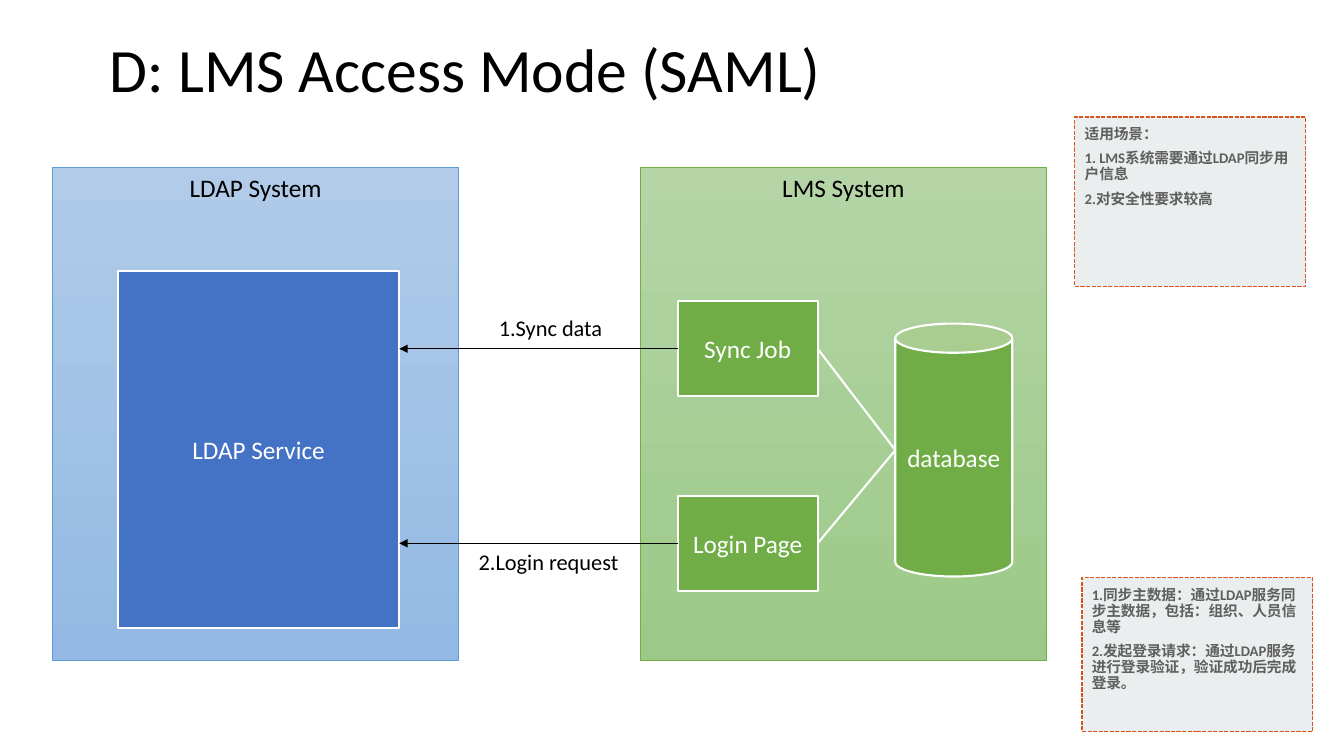
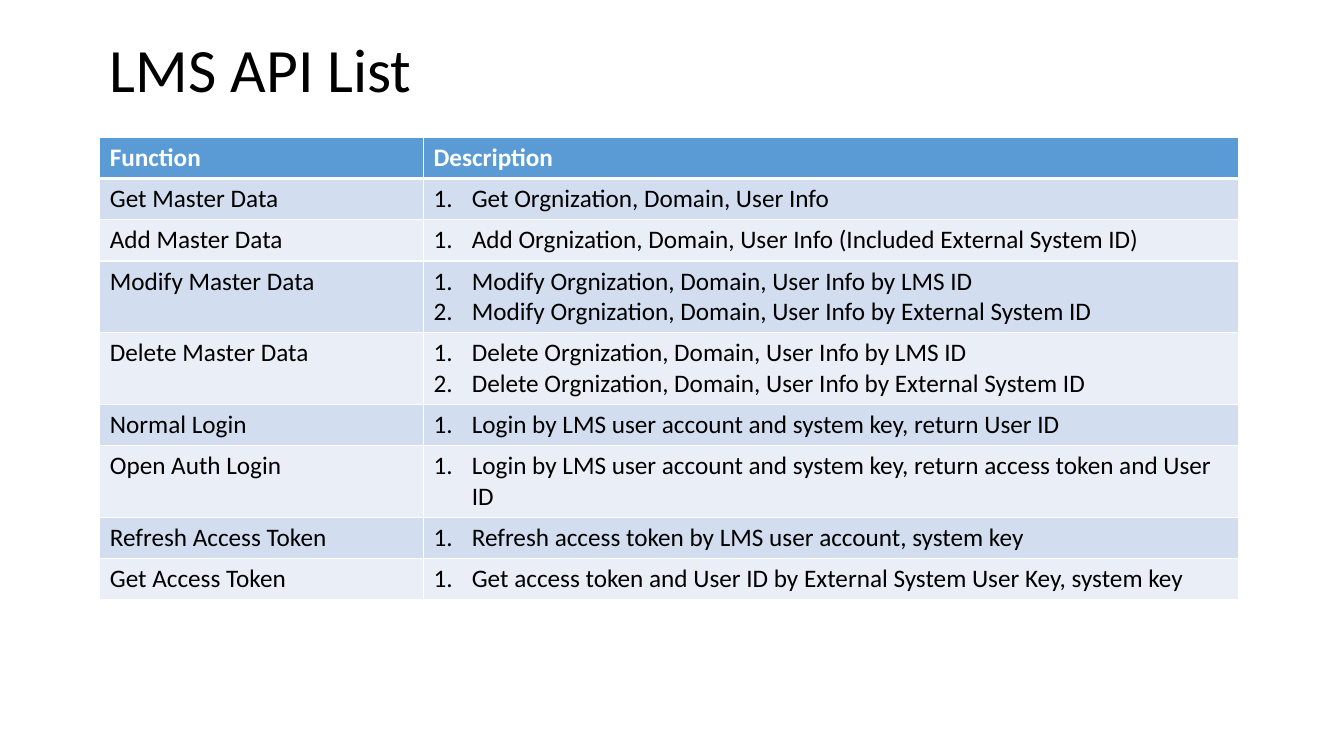
from lxml.etree import SubElement
from pptx import Presentation
from pptx.dml.color import RGBColor
from pptx.enum.dml import MSO_LINE
from pptx.enum.shapes import MSO_CONNECTOR, MSO_SHAPE
from pptx.enum.text import MSO_ANCHOR as Anchor, PP_ALIGN as Align
from pptx.oxml import parse_xml
from pptx.oxml.ns import nsdecls, qn
from pptx.util import Inches, Pt

FONT = "Calibri"
WHITE, BLACK = "FFFFFF", "000000"
GREEN, BLUE, SKY = "70AD47", "4472C4", "5B9BD5"
NOTE_FILL, NOTE_LINE, NOTE_TEXT = "EAEEEF", "D9541E", "5F5F5F"
ROW_FILLS = ("D2DEEF", "EAEFF7")
TITLE_BOX = (0.99, -0.01, 11.5, 1.45)

SYSTEMS = [
    ("LDAP System", 0.52, ("B1CBE9", "93B9E4"), SKY),
    ("LMS System", 6.35, ("B5D5A7", "9CC987"), GREEN),
]
SYSTEM_TOP, SYSTEM_SIZE = 1.66, (4.03, 4.89)
SERVICE = ("LDAP Service", (1.17, 2.69, 2.79, 3.54))
DATABASE = ("database", (8.88, 3.21, 1.16, 2.51))
CLIENT_LEFT, CLIENT_SIZE = 6.72, (1.39, 0.94)
CLIENTS = [
    ("Sync Job", 2.99, "1.Sync data", (4.57, 3.07)),
    ("Login Page", 4.92, "2.Login request", (4.55, 5.39)),
]
CALL_SIZE = (1.78, 0.37)
NOTES = [
    ((10.66, 1.16, 2.29, 1.68), [
        "适用场景：",
        "1. LMS系统需要通过LDAP同步用户信息",
        "2.对安全性要求较高",
    ]),
    ((10.73, 5.73, 2.29, 1.53), [
        "1.同步主数据：通过LDAP服务同步主数据，包括：组织、人员信息等",
        "2.发起登录请求：通过LDAP服务进行登录验证，验证成功后完成登录。",
    ]),
]

API_HEADER = ("Function", "Description")
API_ROWS = [
    ("Get Master Data", ["Get Orgnization, Domain, User Info"]),
    ("Add Master Data", ["Add Orgnization, Domain, User Info (Included External System ID)"]),
    ("Modify Master Data", ["Modify Orgnization, Domain, User Info by LMS ID",
                            "Modify Orgnization, Domain, User Info by External System ID"]),
    ("Delete Master Data", ["Delete Orgnization, Domain, User Info by LMS ID",
                            "Delete Orgnization, Domain, User Info by External System ID"]),
    ("Normal Login", ["Login by LMS user account and system key, return User ID"]),
    ("Open Auth Login", ["Login by LMS user account and system key, return access token and User ID"]),
    ("Refresh Access Token", ["Refresh access token by LMS user account, system key"]),
    ("Get Access Token", ["Get access token and User ID by External System User Key, system key"]),
]
API_COLUMNS, API_ROW_HEIGHT = (3.21, 8.08), 0.41
API_LEFT, API_TOP = 0.99, 1.36


def rgb(code):
    return RGBColor.from_string(code)


def inches(values):
    return [Inches(value) for value in values]


def write(frame, lines, size=18, color=BLACK, bold=False, align=Align.LEFT,
          anchor=Anchor.TOP, spacing=None, before=None):
    frame.word_wrap = True
    frame.vertical_anchor = anchor
    for index, line in enumerate(lines):
        paragraph = frame.add_paragraph() if index else frame.paragraphs[0]
        paragraph.alignment = align
        paragraph.line_spacing = spacing
        paragraph.space_before = before
        run = paragraph.add_run()
        run.text = line
        run.font.name = FONT
        run.font.size = Pt(size)
        run.font.bold = bold
        run.font.color.rgb = rgb(color)


def add_titled_slide(deck, title):
    slide = deck.slides.add_slide(deck.slide_layouts[5])
    heading = slide.shapes.title
    heading.left, heading.top, heading.width, heading.height = inches(TITLE_BOX)
    write(heading.text_frame, [title], 44, anchor=Anchor.MIDDLE, spacing=0.9)
    return slide


def add_block(slide, box, fill, line, width, kind=MSO_SHAPE.RECTANGLE):
    block = slide.shapes.add_shape(kind, *inches(box))
    block.shadow.inherit = False
    if isinstance(fill, tuple):
        block.fill.gradient()
        block.fill.gradient_angle = 270
        for stop, color in zip(block.fill.gradient_stops, fill):
            stop.color.rgb = rgb(color)
    else:
        block.fill.solid()
        block.fill.fore_color.rgb = rgb(fill)
    block.line.color.rgb = rgb(line)
    block.line.width = Pt(width)
    return block


def add_component(slide, label, box, fill, kind=MSO_SHAPE.RECTANGLE):
    component = add_block(slide, box, fill, WHITE, 1.5, kind)
    write(component.text_frame, [label], color=WHITE, align=Align.CENTER, anchor=Anchor.MIDDLE)
    return component


def add_line(slide, start, end, color, width, arrow=False):
    line = slide.shapes.add_connector(MSO_CONNECTOR.STRAIGHT, *inches(start + end))
    line.line.color.rgb = rgb(color)
    line.line.width = Pt(width)
    if arrow:
        SubElement(line.line._get_or_add_ln(), qn("a:headEnd"), type="triangle")
    SubElement(line._element.spPr, qn("a:effectLst"))
    return line


def add_note(slide, box, lines):
    note = add_block(slide, box, NOTE_FILL, NOTE_LINE, 1)
    note.line.dash_style = MSO_LINE.SQUARE_DOT
    frame = note.text_frame
    frame.margin_left = frame.margin_right = frame.margin_top = frame.margin_bottom = Inches(0.1)
    write(frame, lines, 10.5, NOTE_TEXT, True, spacing=0.9, before=Pt(6))


def build_access_mode(deck):
    slide = add_titled_slide(deck, "D: LMS Access Mode (SAML)")
    for label, left, gradient, edge in SYSTEMS:
        system = add_block(slide, (left, SYSTEM_TOP, *SYSTEM_SIZE), gradient, edge, 0.5)
        write(system.text_frame, [label], align=Align.CENTER)
    add_component(slide, *SERVICE, BLUE)
    add_component(slide, *DATABASE, GREEN, MSO_SHAPE.CAN)
    service_left, _, service_width, _ = SERVICE[1]
    database_left, database_top, _, database_height = DATABASE[1]
    database_side = (database_left, database_top + database_height / 2)
    width, height = CLIENT_SIZE
    for label, top, call, place in CLIENTS:
        client = add_component(slide, label, (CLIENT_LEFT, top, width, height), GREEN)
        middle = top + height / 2
        query = add_line(slide, (CLIENT_LEFT + width, middle), database_side, WHITE, 1.5)
        query.begin_connect(client, 3)
        request = add_line(slide, (service_left + service_width, middle),
                           (CLIENT_LEFT, middle), BLACK, 0.5, arrow=True)
        request.end_connect(client, 1)
        caption = slide.shapes.add_textbox(*inches(place + CALL_SIZE))
        write(caption.text_frame, [call], 16, align=Align.CENTER)
    for box, lines in NOTES:
        add_note(slide, box, lines)


def set_borders(cell, bottom):
    properties = cell._tc.get_or_add_tcPr()
    for index, (side, width) in enumerate(zip("LRTB", (1, 1, 1, bottom))):
        properties.insert(index, parse_xml(
            f'<a:ln{side} {nsdecls("a")} w="{Pt(width)}"><a:solidFill>'
            f'<a:srgbClr val="{WHITE}"/></a:solidFill></a:ln{side}>'))


def number_lines(frame):
    indent = Inches(0.38)
    for paragraph in frame.paragraphs:
        properties = paragraph._p.get_or_add_pPr()
        properties.set("marL", str(indent))
        properties.set("indent", str(-indent))
        SubElement(properties, qn("a:buFont"), typeface="+mj-lt")
        SubElement(properties, qn("a:buAutoNum"), type="arabicPeriod")


def fill_cell(cell, lines, fill, color=BLACK, bold=False, bottom=1):
    cell.fill.solid()
    cell.fill.fore_color.rgb = rgb(fill)
    set_borders(cell, bottom)
    write(cell.text_frame, lines, color=color, bold=bold)


def build_api_list(deck):
    slide = add_titled_slide(deck, "LMS API List")
    count = len(API_ROWS) + 1
    area = (API_LEFT, API_TOP, sum(API_COLUMNS), count * API_ROW_HEIGHT)
    table = slide.shapes.add_table(count, len(API_COLUMNS), *inches(area)).table
    for column, width in zip(table.columns, API_COLUMNS):
        column.width = Inches(width)
    for column, label in enumerate(API_HEADER):
        fill_cell(table.cell(0, column), [label], SKY, WHITE, True, 3)
    for row, (function, descriptions) in enumerate(API_ROWS, 1):
        fill = ROW_FILLS[(row - 1) % 2]
        fill_cell(table.cell(row, 0), [function], fill)
        description = table.cell(row, 1)
        fill_cell(description, descriptions, fill)
        number_lines(description.text_frame)


def main():
    deck = Presentation()
    deck.slide_width, deck.slide_height = inches((13.33, 7.5))
    build_access_mode(deck)
    build_api_list(deck)
    deck.save("out.pptx")


if __name__ == "__main__":
    main()
